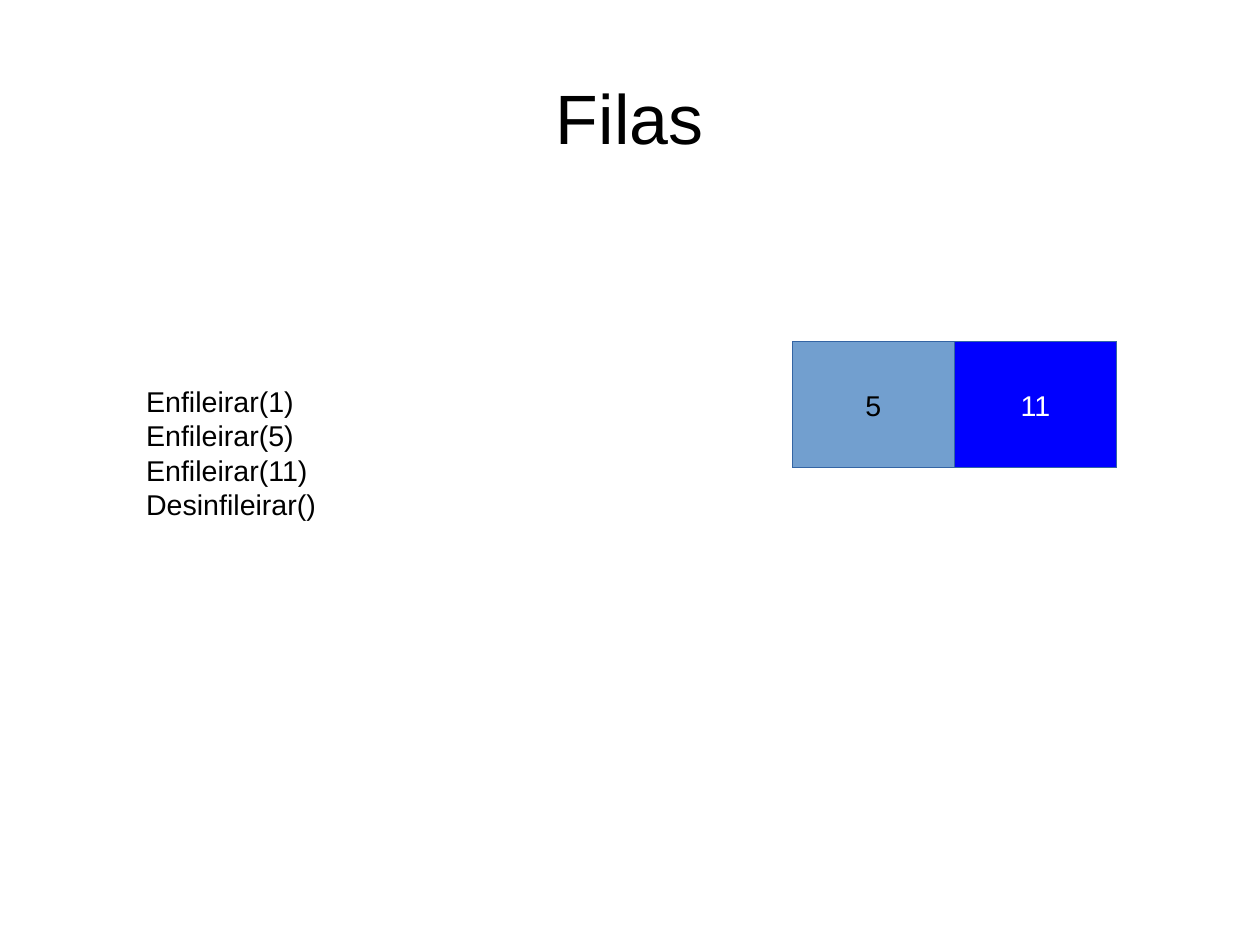
from dataclasses import dataclass

from pptx import Presentation
from pptx.dml.color import RGBColor
from pptx.enum.shapes import MSO_SHAPE
from pptx.enum.text import MSO_ANCHOR, MSO_AUTO_SIZE, PP_ALIGN
from pptx.slide import Slide
from pptx.text.text import TextFrame
from pptx.util import Cm, Inches, Pt

RECTANGLE = MSO_SHAPE.RECTANGLE
LEFT, CENTER = PP_ALIGN.LEFT, PP_ALIGN.CENTER
TOP, MIDDLE = MSO_ANCHOR.TOP, MSO_ANCHOR.MIDDLE
FIXED, GROW = MSO_AUTO_SIZE.NONE, MSO_AUTO_SIZE.SHAPE_TO_FIT_TEXT

QUEUE_LEFT, QUEUE_TOP = 6.93, 2.99
CELL_WIDTH, CELL_HEIGHT = 1.42, 1.1
HAIRLINE = 0.01


@dataclass
class QueueCell:
    value: str
    fill: str
    text_color: str


QUEUE = [
    QueueCell("5", "729FCF", "000000"),
    QueueCell("11", "0000FF", "FFFFFF"),
]
OPERATIONS = ["Enfileirar(1)", "Enfileirar(5)", "Enfileirar(11)", "Desinfileirar()"]


def color(value: str) -> RGBColor:
    return RGBColor.from_string(value)


def write_text(
    frame: TextFrame,
    text: str,
    *,
    size: float = 18,
    text_color: str = "000000",
    align: PP_ALIGN = LEFT,
    anchor: MSO_ANCHOR = TOP,
    margins: tuple[float, float] = (0.1, 0.05),
    wrap: bool = False,
    auto_size: MSO_AUTO_SIZE = FIXED,
) -> None:
    frame.text = text
    frame.word_wrap = wrap
    frame.auto_size = auto_size
    frame.vertical_anchor = anchor
    frame.margin_left = frame.margin_right = Inches(margins[0])
    frame.margin_top = frame.margin_bottom = Inches(margins[1])
    for paragraph in frame.paragraphs:
        paragraph.alignment = align
        for run in paragraph.runs:
            run.font.name = "Arial"
            run.font.size = Pt(size)
            run.font.color.rgb = color(text_color)


def add_title(slide: Slide, text: str) -> None:
    title = slide.shapes.title
    title.left, title.top = Inches(0.55), Inches(0.33)
    title.width, title.height = Inches(9.92), Inches(1.38)
    write_text(title.text_frame, text, size=44, align=CENTER, anchor=MIDDLE,
               margins=(0, 0), wrap=True)


def add_operations(slide: Slide, operations: list[str]) -> None:
    box = slide.shapes.add_textbox(
        Inches(1.18), Inches(3.31), Inches(1.69), Inches(1.22))
    write_text(box.text_frame, "\n".join(operations), auto_size=GROW)


def add_cell(slide: Slide, position: int, cell: QueueCell) -> None:
    shape = slide.shapes.add_shape(
        RECTANGLE, Inches(QUEUE_LEFT + position * CELL_WIDTH), Inches(QUEUE_TOP),
        Inches(CELL_WIDTH), Inches(CELL_HEIGHT))
    shape.shadow.inherit = False
    shape.fill.solid()
    shape.fill.fore_color.rgb = color(cell.fill)
    shape.line.color.rgb = color("3465A4")
    shape.line.width = Pt(HAIRLINE)
    write_text(shape.text_frame, cell.value, text_color=cell.text_color,
               align=CENTER, anchor=MIDDLE)


def main() -> None:
    presentation = Presentation()
    presentation.slide_width = Cm(28)
    presentation.slide_height = Cm(21)
    slide = presentation.slides.add_slide(presentation.slide_layouts[5])
    add_title(slide, "Filas")
    add_operations(slide, OPERATIONS)
    for position, cell in enumerate(QUEUE):
        add_cell(slide, position, cell)
    presentation.save("out.pptx")


if __name__ == "__main__":
    main()
